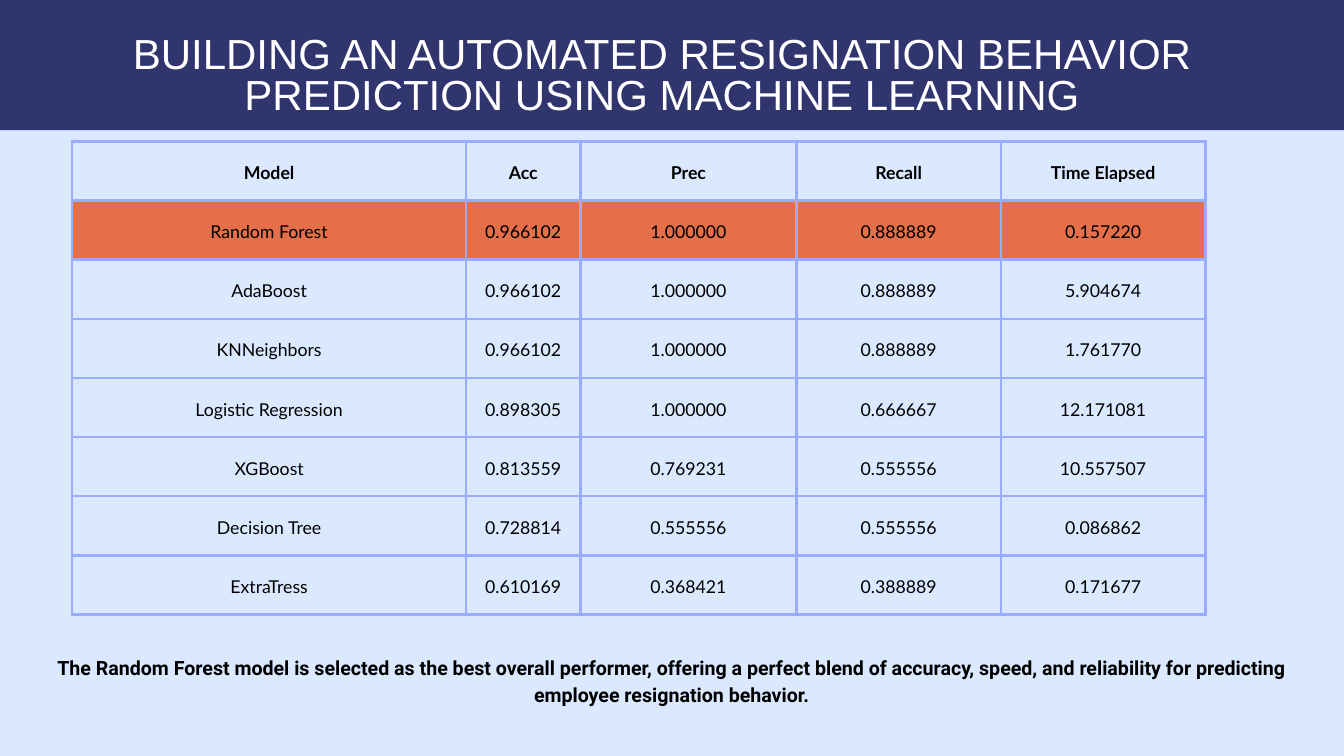
from dataclasses import dataclass

from lxml.etree import SubElement
from pptx import Presentation
from pptx.dml.color import RGBColor
from pptx.enum.shapes import MSO_SHAPE as Shape
from pptx.enum.text import MSO_ANCHOR as Anchor, PP_ALIGN as Align
from pptx.oxml.ns import qn
from pptx.util import Emu, Pt

EMU_PER_PX = 9525
PAGE_WIDTH, PAGE_HEIGHT = 1920, 1080

TITLE = "BUILDING AN AUTOMATED RESIGNATION BEHAVIOR PREDICTION USING MACHINE LEARNING"
CONCLUSION = (
    "The Random Forest model is selected as the best overall performer, offering a "
    "perfect blend of accuracy, speed, and reliability for predicting employee "
    "resignation behavior."
)
COLUMN_WIDTHS = [563, 163, 309, 292, 292]
RESULTS = [
    ["Model", "Acc", "Prec", "Recall", "Time Elapsed"],
    ["Random Forest", "0.966102", "1.000000", "0.888889", "0.157220"],
    ["AdaBoost", "0.966102", "1.000000", "0.888889", "5.904674"],
    ["KNNeighbors", "0.966102", "1.000000", "0.888889", "1.761770"],
    ["Logistic Regression", "0.898305", "1.000000", "0.666667", "12.171081"],
    ["XGBoost", "0.813559", "0.769231", "0.555556", "10.557507"],
    ["Decision Tree", "0.728814", "0.555556", "0.555556", "0.086862"],
    ["ExtraTress", "0.610169", "0.368421", "0.388889", "0.171677"],
]
BEST_ROW = 1


def px(length):
    return Emu(length * EMU_PER_PX)


def rgb(color):
    return RGBColor.from_string(color)


def paint(fill, color):
    fill.solid()
    fill.fore_color.rgb = rgb(color)


def write(frame, text, *, font, size, color, leading, bold=False):
    """Put one centred paragraph into a text frame."""
    para = frame.paragraphs[0]
    para.alignment = Align.CENTER
    para.line_spacing = Pt(leading)
    span = para.add_run()
    span.text = text
    span.font.name = font
    span.font.size = Pt(size)
    span.font.bold = bold
    span.font.color.rgb = rgb(color)


def outline_cell(cell, color, width):
    properties = cell._tc.get_or_add_tcPr()
    for side in ("a:lnL", "a:lnR", "a:lnT", "a:lnB"):
        line = SubElement(properties, qn(side), w=str(Pt(width)))
        fill = SubElement(line, qn("a:solidFill"))
        SubElement(fill, qn("a:srgbClr"), val=color)


@dataclass
class SlideBuilder:
    page: object
    background: str = "DAE9FF"
    band_color: str = "31356E"
    grid_color: str = "99ACFF"
    highlight: str = "E46F48"
    ink: str = "000000"
    table_font: str = "Lato"

    def backdrop(self):
        paint(self.page.background.fill, self.background)

    def band(self, left, top, width, height):
        box = self.page.shapes.add_shape(
            Shape.RECTANGLE, px(left), px(top), px(width), px(height))
        box.shadow.inherit = False
        paint(box.fill, self.band_color)
        box.line.fill.background()

    def text(self, left, top, width, height, text, **text_format):
        box = self.page.shapes.add_textbox(px(left), px(top), px(width), px(height))
        frame = box.text_frame
        frame.word_wrap = True
        frame.margin_left = frame.margin_right = 0
        frame.margin_top = frame.margin_bottom = 0
        write(frame, text, **text_format)

    def table(self, left, top, height, widths, rows, best_row):
        table = self.page.shapes.add_table(
            len(rows), len(widths), px(left), px(top), px(sum(widths)), px(height)).table
        table.first_row = table.horz_banding = False
        for column, width in zip(table.columns, widths):
            column.width = px(width)
        for index, (row, values) in enumerate(zip(table.rows, rows)):
            row.height = px(height) // len(rows)
            for cell, value in zip(row.cells, values):
                self.cell(cell, value, bold=index == 0, marked=index == best_row)

    def cell(self, cell, value, bold, marked):
        cell.vertical_anchor = Anchor.MIDDLE
        cell.margin_left = cell.margin_right = px(20)
        cell.margin_top = cell.margin_bottom = px(20)
        outline_cell(cell, self.grid_color, 3)
        if marked:
            paint(cell.fill, self.highlight)
        else:
            cell.fill.background()
        write(cell.text_frame, value, font=self.table_font, size=19,
              color=self.ink, leading=26.6, bold=bold)


def main():
    deck = Presentation()
    deck.slide_width, deck.slide_height = px(PAGE_WIDTH), px(PAGE_HEIGHT)
    builder = SlideBuilder(deck.slides.add_slide(deck.slide_layouts[6]))

    builder.backdrop()
    builder.band(-38, -65, 2031, 251)
    builder.table(103, 202, 676, COLUMN_WIDTHS, RESULTS, BEST_ROW)
    builder.text(108, 54, 1676, 118, TITLE,
                 font="Arial", size=45, color="FFFFFF", leading=43.2)
    builder.text(23, 931, 1873, 78, CONCLUSION,
                 font="Roboto", size=21, color=builder.ink, leading=29.4, bold=True)

    deck.save("out.pptx")


if __name__ == "__main__":
    main()
